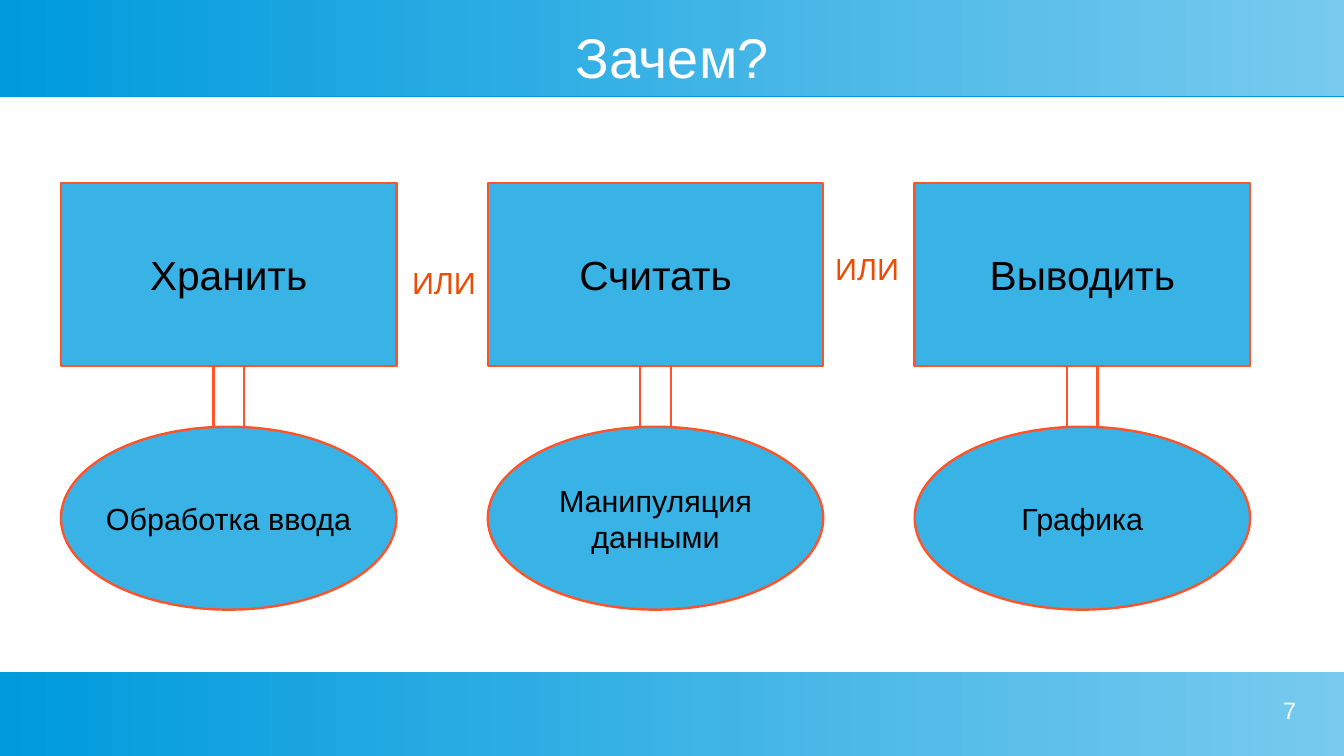
from dataclasses import dataclass

from lxml import etree
from pptx import Presentation
from pptx.dml.color import RGBColor
from pptx.enum.shapes import MSO_CONNECTOR, MSO_SHAPE
from pptx.enum.text import MSO_ANCHOR, PP_ALIGN
from pptx.oxml.ns import qn
from pptx.shapes.autoshape import Shape
from pptx.slide import Slide
from pptx.util import Pt

RECTANGLE, OVAL = MSO_SHAPE.RECTANGLE, MSO_SHAPE.OVAL
STRAIGHT = MSO_CONNECTOR.STRAIGHT
LEFT, CENTER, RIGHT = PP_ALIGN.LEFT, PP_ALIGN.CENTER, PP_ALIGN.RIGHT
TOP, MIDDLE = MSO_ANCHOR.TOP, MSO_ANCHOR.MIDDLE

SLIDE_WIDTH, SLIDE_HEIGHT = 793.44, 446.4
BAND_DARK, BAND_LIGHT = "009BDD", "77CAEE"
BLOCK_FILL, OUTLINE, OR_COLOR = "39B2E5", "FF5429", "ED4C05"
WHITE, BLACK = "FFFFFF", "000000"
LINE_WIDTH = 1.42

FIRST_LEFT, COLUMN_STEP = 36, 252
BLOCK_WIDTH, BLOCK_HEIGHT = 198, 108
ACTION_TOP, TASK_TOP = 108, 252
LINK_OFFSET = 9  # each of the two links from the column's centre


@dataclass
class Column:
    action: str
    task: str


@dataclass
class Label:
    text: str
    left: float
    top: float
    width: float
    height: float
    size: float
    color: str
    align: PP_ALIGN = LEFT
    anchor: MSO_ANCHOR = TOP
    margins: tuple[float, float] = (0, 0)
    wrap: bool = True


COLUMNS = [
    Column("Хранить", "Обработка ввода"),
    Column("Считать", "Манипуляция\vданными"),
    Column("Выводить", "Графика"),
]
OR_FORMAT = {"width": 51.84, "height": 27.36, "size": 18, "color": OR_COLOR,
             "margins": (7.2, 3.6), "wrap": False}
LABELS = [
    Label("Зачем?", 28.08, 14.4, 737.28, 37.44, 33, WHITE, CENTER, MIDDLE),
    Label("ИЛИ", 236.16, 152.64, **OR_FORMAT),
    Label("ИЛИ", 486, 144, **OR_FORMAT),
    Label("7", 581.04, 411.12, 184.32, 28.08, 14, WHITE, RIGHT),
]


def rgb(color: str) -> RGBColor:
    return RGBColor.from_string(color)


def write_text(shape: Shape, text: str, size: float, color: str, align: PP_ALIGN,
               anchor: MSO_ANCHOR, margins: tuple[float, float], wrap: bool) -> None:
    horizontal, vertical = map(Pt, margins)
    frame = shape.text_frame
    frame_format = {
        "word_wrap": wrap, "vertical_anchor": anchor,
        "margin_left": horizontal, "margin_right": horizontal,
        "margin_top": vertical, "margin_bottom": vertical,
    }
    for name, value in frame_format.items():
        setattr(frame, name, value)
    paragraph = frame.paragraphs[0]
    paragraph.text = text
    paragraph.alignment = align
    for run in paragraph.runs:
        for name, value in {"name": "Arial", "size": Pt(size)}.items():
            setattr(run.font, name, value)
        run.font.color.rgb = rgb(color)


def add_band(slide: Slide, top: float, height: float) -> None:
    """Add a full-width gradient band with a thin hard shadow below it."""
    band = slide.shapes.add_shape(RECTANGLE, 0, Pt(top), Pt(SLIDE_WIDTH), Pt(height))
    band.line.fill.background()
    band.fill.gradient()
    band.fill.gradient_angle = 0
    for stop, color in zip(band.fill.gradient_stops, (BAND_DARK, BAND_LIGHT)):
        stop.color.rgb = rgb(color)
    band.shadow.inherit = False
    effects = band._element.spPr.find(qn("a:effectLst"))
    shadow = etree.SubElement(effects, qn("a:outerShdw"), blurRad="0",
                              dist=str(Pt(0.9)), dir="5400000", rotWithShape="0")
    etree.SubElement(shadow, qn("a:srgbClr"), val=BAND_DARK)


def add_block(slide: Slide, kind: MSO_SHAPE, left: float, top: float,
              text: str, size: float) -> None:
    block = slide.shapes.add_shape(kind, Pt(left), Pt(top), Pt(BLOCK_WIDTH), Pt(BLOCK_HEIGHT))
    block.shadow.inherit = False
    block.fill.solid()
    block.fill.fore_color.rgb = rgb(BLOCK_FILL)
    block.line.color.rgb = rgb(OUTLINE)
    block.line.width = Pt(LINE_WIDTH)
    write_text(block, text, size, BLACK, CENTER, MIDDLE, (7.2, 3.6), False)


def add_link(slide: Slide, x: float) -> None:
    link = slide.shapes.add_connector(
        STRAIGHT, Pt(x), Pt(ACTION_TOP + BLOCK_HEIGHT), Pt(x), Pt(TASK_TOP))
    link.line.color.rgb = rgb(OUTLINE)
    link.line.width = Pt(LINE_WIDTH)
    etree.SubElement(link._element.spPr, qn("a:effectLst"))


def add_column(slide: Slide, column: Column, left: float) -> None:
    add_block(slide, RECTANGLE, left, ACTION_TOP, column.action, 24)
    add_block(slide, OVAL, left, TASK_TOP, column.task, 18)
    center = left + BLOCK_WIDTH / 2
    for offset in (-LINK_OFFSET, LINK_OFFSET):
        add_link(slide, center + offset)


def add_label(slide: Slide, label: Label) -> None:
    box = slide.shapes.add_textbox(
        Pt(label.left), Pt(label.top), Pt(label.width), Pt(label.height))
    write_text(box, label.text, label.size, label.color, label.align,
               label.anchor, label.margins, label.wrap)


def main() -> None:
    presentation = Presentation()
    presentation.slide_width = Pt(SLIDE_WIDTH)
    presentation.slide_height = Pt(SLIDE_HEIGHT)
    slide = presentation.slides.add_slide(presentation.slide_layouts[6])
    add_band(slide, 0, 56.7)
    add_band(slide, 396.7, 49.7)
    for index, column in enumerate(COLUMNS):
        add_column(slide, column, FIRST_LEFT + index * COLUMN_STEP)
    for label in LABELS:
        add_label(slide, label)
    presentation.save("out.pptx")


if __name__ == "__main__":
    main()
